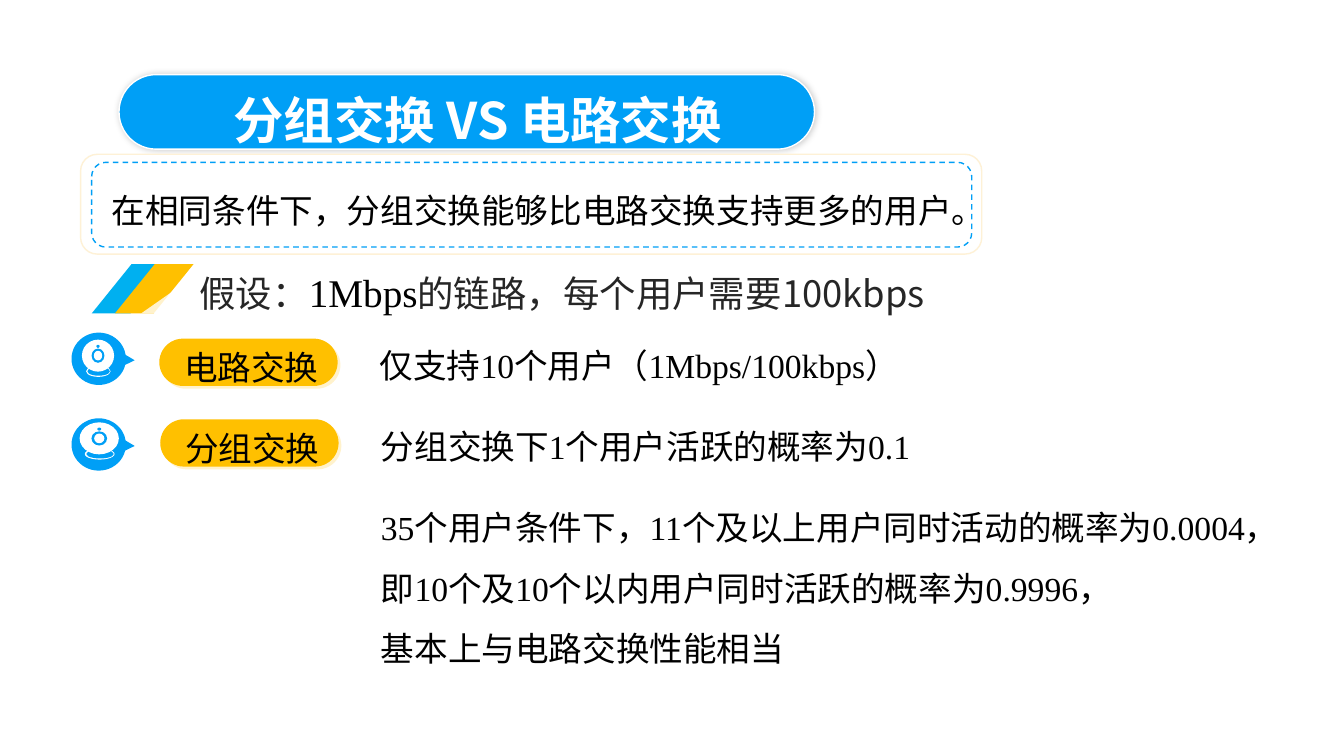
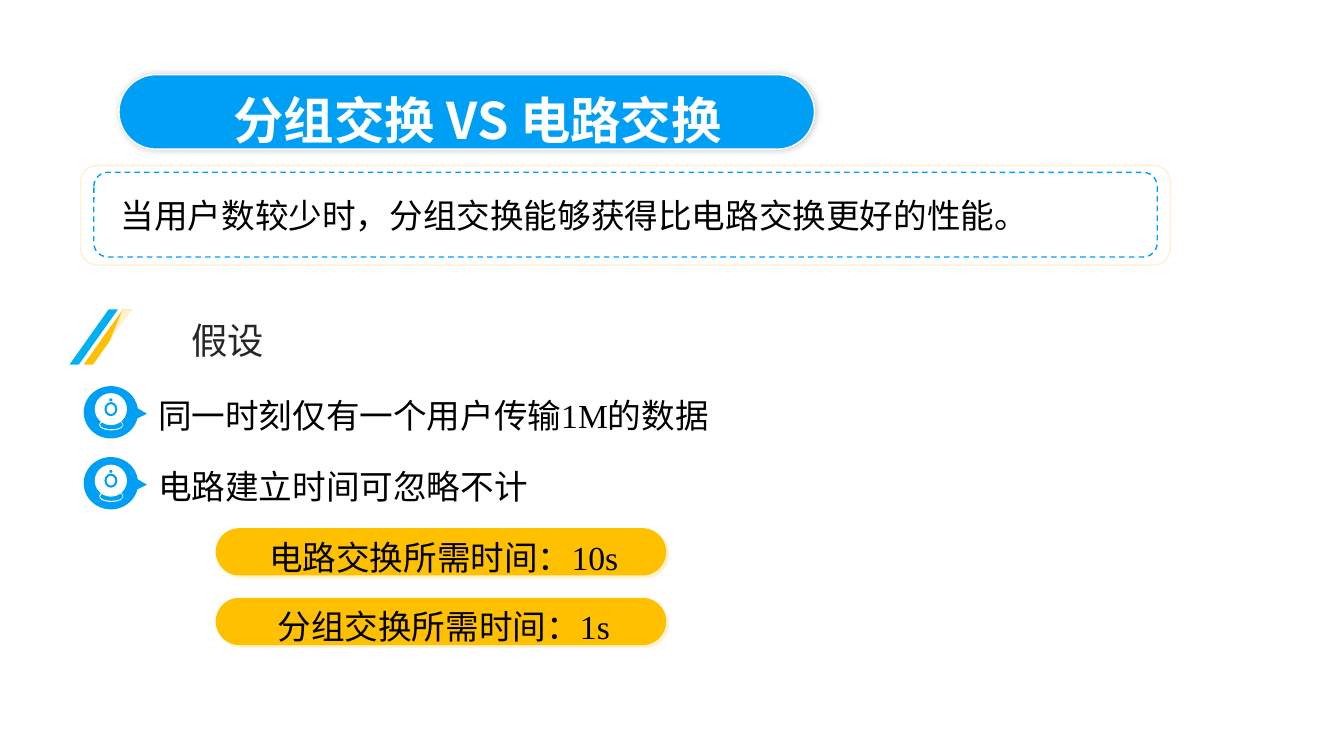
from pptx import Presentation
from pptx.dml.color import RGBColor
from pptx.enum.dml import MSO_LINE
from pptx.enum.shapes import MSO_SHAPE
from pptx.enum.text import MSO_ANCHOR, PP_ALIGN
from pptx.oxml import parse_xml
from pptx.oxml.ns import nsdecls, qn
from pptx.util import Pt

BLUE = RGBColor(0x00, 0x9F, 0xF6)
STRIPE_BLUE = RGBColor(0x00, 0xB0, 0xF0)
GOLD = RGBColor(0xFF, 0xC0, 0x00)
CREAM = RGBColor(0xFE, 0xF1, 0xD6)
PALE_GOLD = RGBColor(0xFF, 0xF2, 0xCC)
WHITE = RGBColor(0xFF, 0xFF, 0xFF)
BLACK = RGBColor(0x00, 0x00, 0x00)
DARK = RGBColor(0x26, 0x26, 0x26)

SANS = "Noto Sans CJK SC"
TITLE_FONT = "Noto Sans CJK JP"
SERIF = "Times New Roman"

# Shadows: colour, opacity in percent, blur, distance, angle in degrees
TITLE_SHADOW = (BLACK, 20, 5, 0, 0)
PILL_SHADOW = (PALE_GOLD, 100, 0, 2.8, 45)

# Webcam icon: left, top, width, height as shares of its box, and colour
WEBCAM_PARTS = [
    (0.13, 0.7, 0.76, 0.3, WHITE),
    (0.17, 0.73, 0.7, 0.24, BLUE),
    (0, 0, 1, 0.86, WHITE),
    (0.3, 0.24, 0.4, 0.38, BLUE),
    (0.37, 0.3, 0.26, 0.26, WHITE),
    (0.45, 0.14, 0.1, 0.08, BLUE),
]

TITLE = "分组交换 VS 电路交换"

# Boxes are left, top, width, height in points.
SLIDES = [
    {
        "note": "在相同条件下，分组交换能够比电路交换支持更多的用户。",
        "note_frame": (57.6, 110.2, 643.7, 71.3),
        "note_dash": (65.5, 116, 628.6, 60.5),
        "note_text": (72.7, 131.8, 622, 36),
        "stripes": [(65.5, 188.6, 56.2, 35.3), (82.1, 188.6, 56.2, 35.3)],
        "veil": [(151.2, 188.6), (100.8, 223.9), (694.8, 223.9), (694.8, 188.6)],
        "heading_box": (135.4, 187.9, 578.2, 72.7),
        "heading": [
            ("假设：", SANS, 26, DARK),
            ("1Mbps", SERIF, 28, BLACK),
            ("的链路，每个用户需要100kbps", SANS, 26, DARK),
        ],
        "callouts": [(51.1, 237.6), (51.1, 298.8)],
        "webcams": [(58.5, 242.6, 23, 26.6), (56.9, 301.7, 28, 26.6)],
        "pills": [
            ((113.8, 241.9, 127.4, 33.8), "电路交换"),
            ((114.5, 299.5, 127.4, 33.8), "分组交换"),
        ],
        "texts": [
            ((264.2, 239.8, 409, 37.4), 1.1, ["仅支持10个用户（1Mbps/100kbps）"]),
            ((265, 298.1, 473, 39.6), 1.1, ["分组交换下1个用户活跃的概率为0.1"]),
            ((265, 344.2, 681.8, 133.2), 1.5, [
                "35个用户条件下，11个及以上用户同时活动的概率为0.0004，",
                "即10个及10个以内用户同时活跃的概率为0.9996，",
                "基本上与电路交换性能相当",
            ]),
        ],
    },
    {
        "note": "当用户数较少时，分组交换能够获得比电路交换更好的性能。",
        "note_frame": (57.6, 118.1, 778.3, 71.3),
        "note_dash": (67, 123.1, 759.6, 60.5),
        "note_text": (79.2, 135.4, 751.7, 36),
        "stripes": [(49.7, 221, 34.6, 39.4), (59.8, 221, 34.6, 39.4)],
        "veil": [(87.8, 221), (71.3, 260.4), (267.1, 260.4), (267.1, 221)],
        "heading_box": (129.6, 223.9, 85, 38.9),
        "heading": [("假设", SANS, 26, DARK)],
        "callouts": [(59.8, 275.8), (59.8, 326.5)],
        "webcams": [(67.7, 280.8, 23, 26.6), (67.7, 331.9, 23, 26.6)],
        "pills": [
            ((154.1, 377.3, 321.8, 33.8), "电路交换所需时间：10s"),
            ((154.1, 427, 321.8, 33.8), "分组交换所需时间：1s"),
        ],
        "texts": [
            ((105.8, 275.8, 519.8, 37.4), 1.1, ["同一时刻仅有一个用户传输1M的数据"]),
            ((105.8, 326.2, 519.8, 37.4), 1.1, ["电路建立时间可忽略不计"]),
        ],
    },
]


def style_shape(shape, fill=None, line=None, shadow=None, adjustments=()):
    for index, value in enumerate(adjustments):
        shape.adjustments[index] = value
    if fill is None:
        shape.fill.background()
    else:
        shape.fill.solid()
        shape.fill.fore_color.rgb = fill
    if line is None:
        shape.line.fill.background()
    else:
        shape.line.color.rgb = line
        shape.line.width = Pt(1)
    shape.shadow.inherit = False
    if shadow:
        color, opacity, blur, distance, angle = shadow
        shape._element.spPr.find(qn("a:effectLst")).append(parse_xml(
            f'<a:outerShdw {nsdecls("a")} blurRad="{Pt(blur)}" dist="{Pt(distance)}" '
            f'dir="{angle * 60000}" algn="ctr" rotWithShape="0"><a:srgbClr val="{color}">'
            f'<a:alpha val="{opacity * 1000}"/></a:srgbClr></a:outerShdw>'))
    return shape


def write_text(frame, paragraphs, spacing=None, align=PP_ALIGN.LEFT, bold=False):
    """Fill a frame with paragraphs, each a list of (text, font, size, colour) runs."""
    frame.word_wrap = True
    for index, runs in enumerate(paragraphs):
        paragraph = frame.add_paragraph() if index else frame.paragraphs[0]
        paragraph.alignment = align
        paragraph.line_spacing = spacing
        for text, font_name, size, color in runs:
            run = paragraph.add_run()
            run.text = text
            run.font.name = font_name
            run.font.size = Pt(size)
            run.font.bold = bold
            run.font.color.rgb = color
            east_asian = SANS if font_name == SERIF else font_name
            run.font._element.find(qn("a:latin")).addnext(
                parse_xml(f'<a:ea {nsdecls("a")} typeface="{east_asian}"/>'))


presentation = Presentation()
presentation.slide_width = Pt(960)
presentation.slide_height = Pt(540)

for content in SLIDES:
    slide = presentation.slides.add_slide(presentation.slide_layouts[6])
    shapes = slide.shapes

    # Title
    title = shapes.add_shape(
        MSO_SHAPE.ROUNDED_RECTANGLE, Pt(85), Pt(53.3), Pt(496.8), Pt(53.3))
    style_shape(title, BLUE, WHITE, TITLE_SHADOW, [0.5])
    frame = title.text_frame
    frame.vertical_anchor = MSO_ANCHOR.MIDDLE
    frame.margin_left, frame.margin_top = Pt(74), Pt(11)
    frame.margin_right = frame.margin_bottom = 0
    write_text(frame, [[(TITLE, TITLE_FONT, 36, WHITE)]], bold=True)

    # Key statement in a double frame
    outer = shapes.add_shape(MSO_SHAPE.ROUNDED_RECTANGLE, *map(Pt, content["note_frame"]))
    style_shape(outer, WHITE, CREAM)
    inner = shapes.add_shape(MSO_SHAPE.ROUNDED_RECTANGLE, *map(Pt, content["note_dash"]))
    style_shape(inner, line=BLUE)
    inner.line.dash_style = MSO_LINE.DASH
    note = shapes.add_textbox(*map(Pt, content["note_text"]))
    write_text(note.text_frame, [[(content["note"], SANS, 24, BLACK)]])

    # Heading with stripes fading out under a translucent veil
    for box, color in zip(content["stripes"], (STRIPE_BLUE, GOLD)):
        stripe = shapes.add_shape(MSO_SHAPE.PARALLELOGRAM, *map(Pt, box))
        style_shape(stripe, color, adjustments=[0.808])
    corners = [(Pt(x), Pt(y)) for x, y in content["veil"]]
    builder = shapes.build_freeform(*corners[0])
    builder.add_line_segments(corners[1:], close=True)
    veil = style_shape(builder.convert_to_shape(), WHITE)
    veil_color = veil._element.spPr.find(qn("a:solidFill")).find(qn("a:srgbClr"))
    veil_color.append(parse_xml(f'<a:alpha {nsdecls("a")} val="80000"/>'))
    heading = shapes.add_textbox(*map(Pt, content["heading_box"]))
    write_text(heading.text_frame, [content["heading"]])

    # Webcam bullets
    for (left, top), webcam in zip(content["callouts"], content["webcams"]):
        callout = shapes.add_shape(
            MSO_SHAPE.OVAL_CALLOUT, Pt(left), Pt(top), Pt(38.9), Pt(37.4))
        style_shape(callout, BLUE, adjustments=[0.661, 0.028])
        cam_left, cam_top, cam_width, cam_height = webcam
        for x, y, width, height, color in WEBCAM_PARTS:
            part = shapes.add_shape(
                MSO_SHAPE.OVAL,
                Pt(cam_left + x * cam_width), Pt(cam_top + y * cam_height),
                Pt(width * cam_width), Pt(height * cam_height))
            style_shape(part, color)

    # Gold labels
    for box, label in content["pills"]:
        pill = shapes.add_shape(MSO_SHAPE.ROUNDED_RECTANGLE, *map(Pt, box))
        style_shape(pill, GOLD, shadow=PILL_SHADOW, adjustments=[0.5])
        frame = pill.text_frame
        frame.vertical_anchor = MSO_ANCHOR.MIDDLE
        frame.margin_left, frame.margin_top = Pt(4), Pt(7)
        frame.margin_right = frame.margin_bottom = 0
        write_text(frame, [[(label, SERIF, 24, BLACK)]], align=PP_ALIGN.CENTER)

    # Body text
    for box, spacing, lines in content["texts"]:
        body = shapes.add_textbox(*map(Pt, box))
        write_text(body.text_frame, [[(line, SERIF, 24, BLACK)] for line in lines], spacing)

presentation.save("out.pptx")
